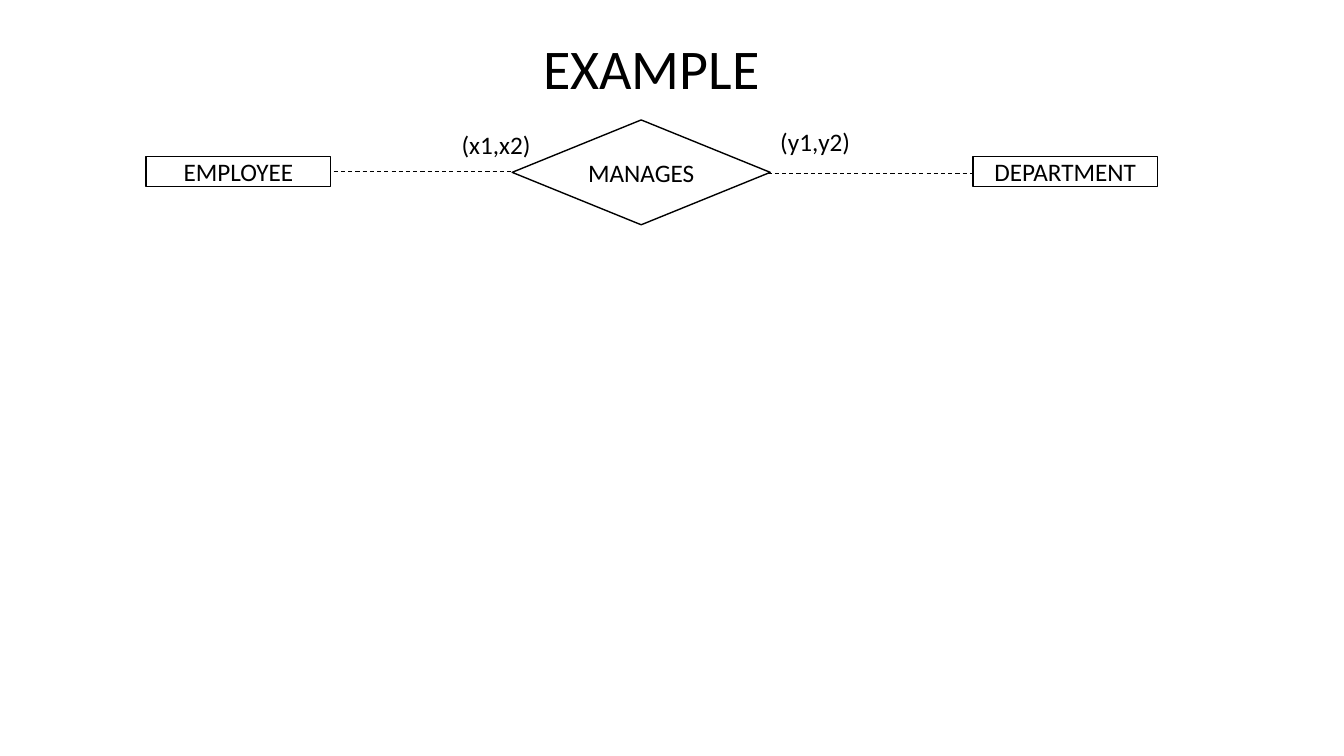
import pptx
import pptx.util
import pptx.dml.color
import pptx.enum.dml
import pptx.enum.shapes
import pptx.enum.text
import pptx.oxml.ns
import lxml.etree

Inches = pptx.util.Inches
Shapes = pptx.enum.shapes.MSO_SHAPE
Align = pptx.enum.text.PP_ALIGN
Anchor = pptx.enum.text.MSO_ANCHOR
BLACK = "000000"
WHITE = "FFFFFF"


def color(value):
    return pptx.dml.color.RGBColor.from_string(value)


def write(shape, text, size=18, align=Align.CENTER, anchor=Anchor.MIDDLE, spacing=1.0, wrap=True):
    frame = shape.text_frame
    frame.word_wrap = wrap
    frame.auto_size = pptx.enum.text.MSO_AUTO_SIZE.NONE
    frame.vertical_anchor = anchor
    paragraph = frame.paragraphs[0]
    paragraph.alignment = align
    paragraph.line_spacing = spacing
    run = paragraph.add_run()
    run.text = text
    run.font.name = "Calibri"
    run.font.size = pptx.util.Pt(size)
    run.font.color.rgb = color(BLACK)


presentation = pptx.Presentation()
presentation.slide_width = Inches(13.33)
presentation.slide_height = Inches(7.5)
slide = presentation.slides.add_slide(presentation.slide_layouts[5])

title = slide.shapes.title
title.left, title.top = Inches(0.71), Inches(-0.02)
title.width, title.height = Inches(11.5), Inches(1.45)
write(title, "EXAMPLE", size=40, spacing=0.9)

for start, end, y in [(3.31, 5.15, 1.7), (7.04, 9.65, 1.72)]:
    connector = slide.shapes.add_connector(
        pptx.enum.shapes.MSO_CONNECTOR.STRAIGHT, Inches(start), Inches(y), Inches(end), Inches(y)
    )
    connector.line.color.rgb = color(BLACK)
    connector.line.width = pptx.util.Pt(0.75)
    connector.line.dash_style = pptx.enum.dml.MSO_LINE.DASH
    lxml.etree.SubElement(connector._element.spPr, pptx.oxml.ns.qn("a:effectLst"))

nodes = [
    ("EMPLOYEE", Shapes.RECTANGLE, 1.45, 1.55, 1.83, 0.3),
    ("DEPARTMENT", Shapes.RECTANGLE, 9.65, 1.55, 1.83, 0.3),
    ("MANAGES", Shapes.DIAMOND, 5.08, 1.19, 2.56, 1.04),
]
for name, kind, left, top, width, height in nodes:
    node = slide.shapes.add_shape(kind, Inches(left), Inches(top), Inches(width), Inches(height))
    node.shadow.inherit = False
    node.fill.solid()
    node.fill.fore_color.rgb = color(WHITE)
    node.line.color.rgb = color(BLACK)
    node.line.width = pptx.util.Pt(1)
    write(node, name)

for cardinality, left, top in [("(x1,x2)", 4.48, 1.23), ("(y1,y2)", 7.64, 1.2)]:
    label = slide.shapes.add_textbox(Inches(left), Inches(top), Inches(1.09), Inches(0.4))
    write(label, cardinality, align=Align.LEFT, anchor=Anchor.TOP)

presentation.save("out.pptx")
